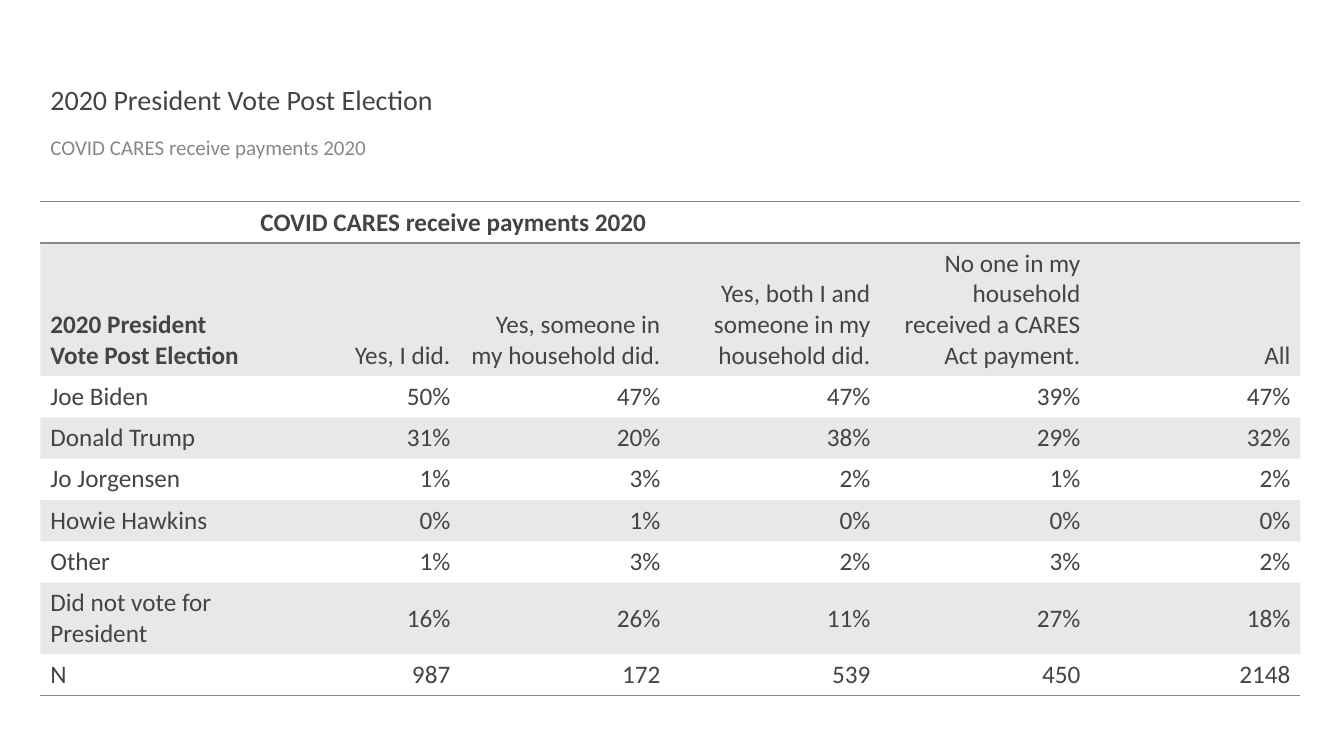
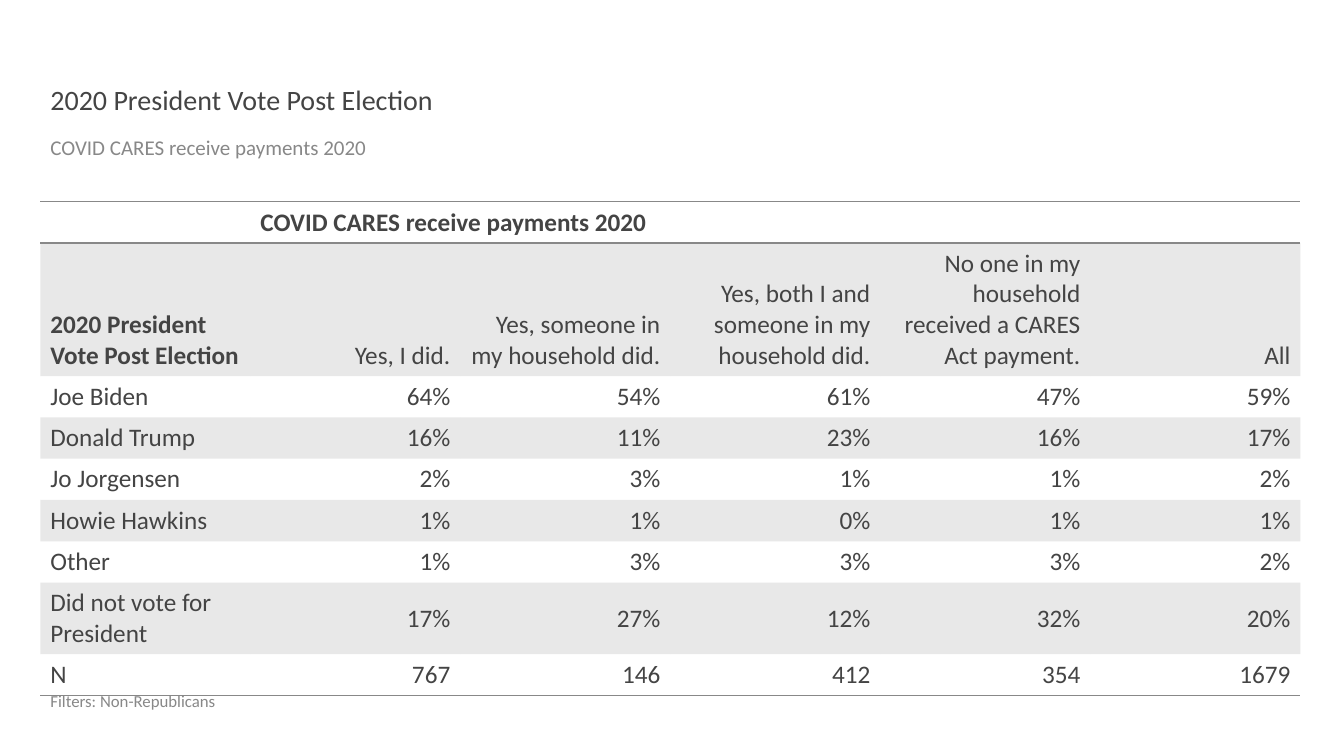
"""Build two crosstab slides on the 2020 vote and CARES payments."""
from dataclasses import dataclass
from typing import Optional

from lxml import etree
from pptx import Presentation
from pptx.dml.color import RGBColor
from pptx.enum.text import MSO_ANCHOR, MSO_AUTO_SIZE, PP_ALIGN
from pptx.oxml.ns import qn
from pptx.util import Inches, Pt

TOP, MIDDLE, BOTTOM = MSO_ANCHOR.TOP, MSO_ANCHOR.MIDDLE, MSO_ANCHOR.BOTTOM
LEFT, RIGHT = PP_ALIGN.LEFT, PP_ALIGN.RIGHT
NO_FIT = MSO_AUTO_SIZE.NONE

COLORS = {"text": "444444", "muted": "888888"}
FONT = "Calibri"
NO_STYLE = "{2D5ABB26-0587-4C30-8999-92F81FD0307C}"
BAND_ALPHA = 12000
MARGIN, WIDTH, ROW_HEIGHT = 0.4, 12.5, 0.41

VOTE = "2020 President Vote Post Election"
PAYMENTS = "COVID CARES receive payments 2020"
HEADINGS = [
    VOTE,
    "Yes, I did.",
    "Yes, someone in my household did.",
    "Yes, both I and someone in my household did.",
    "No one in my household received a CARES Act payment.",
    "All",
]
CHOICES = ["Joe Biden", "Donald Trump", "Jo Jorgensen", "Howie Hawkins",
           "Other", "Did not vote for President"]


@dataclass
class Crosstab:
    percents: list[list[int]]
    counts: list[int]
    footnote: Optional[str] = None


CROSSTABS = [
    Crosstab(
        [[50, 47, 47, 39, 47], [31, 20, 38, 29, 32], [1, 3, 2, 1, 2],
         [0, 1, 0, 0, 0], [1, 3, 2, 3, 2], [16, 26, 11, 27, 18]],
        [987, 172, 539, 450, 2148],
    ),
    Crosstab(
        [[64, 54, 61, 47, 59], [16, 11, 23, 16, 17], [2, 3, 1, 1, 2],
         [1, 1, 0, 1, 1], [1, 3, 3, 3, 2], [17, 27, 12, 32, 20]],
        [767, 146, 412, 354, 1679],
        "Filters: Non-Republicans",
    ),
]


def write(tf, text: str, *, size=18, color="text", bold=False, align=LEFT):
    """Write one formatted paragraph and return it."""
    p = tf.paragraphs[0]
    p.alignment = align
    r = p.add_run()
    r.text = text
    r.font.name = FONT
    r.font.size = Pt(size)
    r.font.bold = bold
    r.font.color.rgb = RGBColor.from_string(COLORS[color])
    return p


def fill_placeholder(sp, text: str, top: float, height: float, *,
                     width=WIDTH, anchor=TOP, before=10, **fmt) -> None:
    """Move a placeholder and give it one line without a bullet."""
    sp.left, sp.top = Inches(MARGIN), Inches(top)
    sp.width, sp.height = Inches(width), Inches(height)
    tf = sp.text_frame
    tf.word_wrap = True
    tf.auto_size = NO_FIT
    tf.vertical_anchor = anchor
    p = write(tf, text, **fmt)
    p.line_spacing = 0.9
    p.space_before = Pt(before)
    pPr = p._p.get_or_add_pPr()
    pPr.set("marL", "0")
    pPr.set("indent", "0")
    etree.SubElement(pPr, qn("a:buNone"))


def shade(cell) -> None:
    """Fill a cell with the translucent band colour."""
    cell.fill.solid()
    cell.fill.fore_color.rgb = RGBColor.from_string(COLORS["text"])
    clr = cell._tc.tcPr.find(".//" + qn("a:srgbClr"))
    etree.SubElement(clr, qn("a:alpha"), val=str(BAND_ALPHA))


def add_borders(cell, sides: list[str]) -> None:
    """Rule the given sides of a cell, listed in schema order."""
    tcPr = cell._tc.get_or_add_tcPr()
    for i, side in enumerate(sides):
        ln = etree.Element(qn(f"a:ln{side}"), w=str(Pt(1)))
        fill = etree.SubElement(ln, qn("a:solidFill"))
        etree.SubElement(fill, qn("a:srgbClr"), val=COLORS["muted"])
        tcPr.insert(i, ln)


def add_crosstab(s, tab: Crosstab) -> None:
    """Draw the table of vote by payment."""
    rows = [["", PAYMENTS, "", "", "", ""], HEADINGS]
    rows += [[choice, *(f"{v}%" for v in values)]
             for choice, values in zip(CHOICES, tab.percents)]
    rows.append(["N", *map(str, tab.counts)])
    last = len(rows) - 1
    borders = {0: ["T", "B"], last: ["B"]}

    table = s.shapes.add_table(
        len(rows), len(HEADINGS), Inches(MARGIN), Inches(2),
        Inches(WIDTH), Inches(ROW_HEIGHT * len(rows))).table
    table.first_row = table.horz_banding = False
    table._tbl.tblPr.find(qn("a:tableStyleId")).text = NO_STYLE
    table.cell(0, 1).merge(table.cell(0, 4))

    for i, row in enumerate(rows):
        for j, text in enumerate(row):
            cell = table.cell(i, j)
            cell.vertical_anchor = BOTTOM if i < 2 else MIDDLE
            if i % 2:
                shade(cell)
            else:
                cell.fill.background()
            add_borders(cell, borders.get(i, []))
            if text:
                write(cell.text_frame, text,
                      bold=i == 0 or (i == 1 and j == 0),
                      align=RIGHT if i and j else LEFT)


def add_slide(prs, tab: Crosstab) -> None:
    """Add a slide with title, subtitle, table and optional footnote."""
    s = prs.slides.add_slide(prs.slide_layouts[3 if tab.footnote else 1])
    fill_placeholder(s.shapes.title, VOTE, 0.4, 0.81,
                     anchor=BOTTOM, before=0, size=20)
    fill_placeholder(s.placeholders[1], PAYMENTS, 1.31, 0.51,
                     size=15, color="muted")
    add_crosstab(s, tab)
    if tab.footnote:
        fill_placeholder(s.placeholders[2], tab.footnote, 6.82, 0.3,
                         width=6.27, size=12, color="muted")


def main() -> None:
    """Build and save the deck."""
    prs = Presentation()
    prs.slide_width, prs.slide_height = Inches(13.33), Inches(7.5)
    for tab in CROSSTABS:
        add_slide(prs, tab)
    prs.save("out.pptx")


if __name__ == "__main__":
    main()
